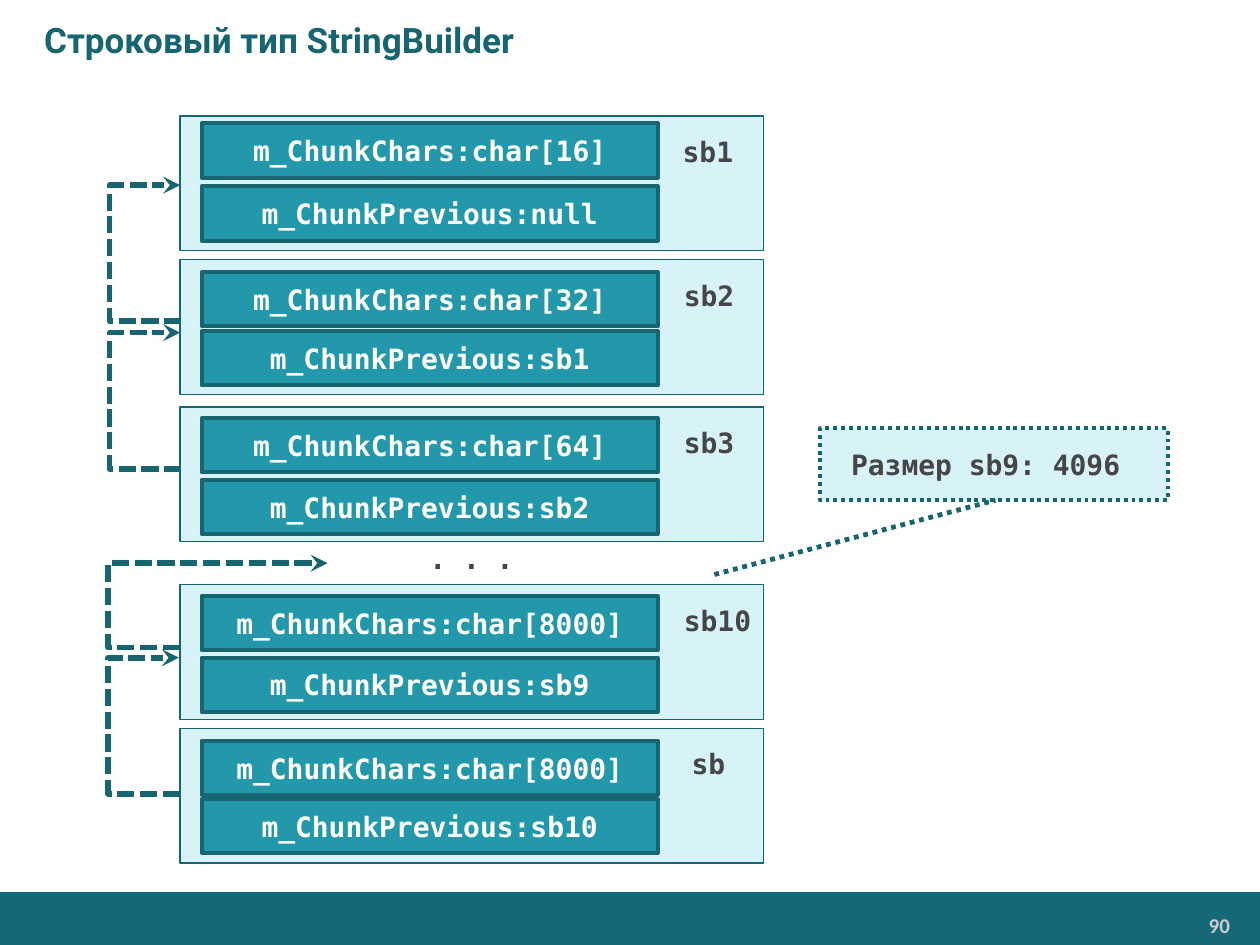
from lxml import etree
from pptx import Presentation
from pptx import util as u
from pptx.dml.color import RGBColor
from pptx.enum import dml, shapes, text
from pptx.oxml.ns import qn

DARK, TEAL, PALE = "176571", "2298AA", "D7F3F7"
GREY, WHITE = "464547", "FFFFFF"
DASH, DOT = dml.MSO_LINE.SQUARE_DOT, dml.MSO_LINE.ROUND_DOT
LEFT, MID, RIGHT = text.PP_ALIGN.LEFT, text.PP_ALIGN.CENTER, text.PP_ALIGN.RIGHT

# name, label left, box top, top of each field, size, previous
CHUNKS = [
    ("sb1", 5.32, 0.92, 0.98, 1.48, 16, "null"),
    ("sb2", 5.33, 2.06, 2.16, 2.63, 32, "sb1"),
    ("sb3", 5.33, 3.23, 3.32, 3.81, 64, "sb2"),
    ("sb10", 5.33, 4.64, 4.73, 5.22, 8000, "sb9"),
    ("sb", 5.39, 5.78, 5.88, 6.34, 8000, "sb10"),
]
# start x, start y, bend x, end x, end y
LINKS = [
    (1.44, 2.55, 0.86, 1.43, 1.47),
    (1.44, 3.72, 0.86, 1.43, 2.64),
    (1.43, 6.30, 0.85, 1.42, 5.22),
    (1.43, 5.14, 0.86, 2.60, 4.47),
]


def color(code):
    return RGBColor.from_string(code)


class Deck:
    """Holds the style and the current slide."""
    font, size = "DejaVu Sans Mono", 16

    def __init__(self):
        self.prs = Presentation()
        self.prs.slide_width = u.Inches(10)
        self.prs.slide_height = u.Inches(7.5)
        self.slide = self.prs.slides.add_slide(self.prs.slide_layouts[5])

    def letter(self, shape, words, ink, align=LEFT, font=None, size=None):
        """Put styled text in a shape."""
        frame = shape.text_frame
        frame.text = words
        para = frame.paragraphs[0]
        para.alignment = align
        for run in para.runs:
            run.font.name = font or self.font
            run.font.size = u.Pt(size or self.size)
            run.font.bold = True
            run.font.color.rgb = color(ink)

    def title(self, words):
        shape = self.slide.shapes.title
        shape.left, shape.top = u.Inches(0), u.Inches(0)
        shape.width, shape.height = u.Inches(10), u.Inches(0.63)
        self.letter(shape, words, DARK, font="Roboto", size=20)
        shape.text_frame.margin_left = u.Inches(0.35)
        shape.text_frame.vertical_anchor = text.MSO_ANCHOR.MIDDLE

    def box(self, x, y, w, h, fill, line=None, words="", ink=WHITE, dash=None):
        shape = self.slide.shapes.add_shape(
            shapes.MSO_SHAPE.RECTANGLE, *map(u.Inches, (x, y, w, h)))
        shape.shadow.inherit = False
        shape.fill.solid()
        shape.fill.fore_color.rgb = color(fill)
        if line:
            self.stroke(shape.line, line, dash)
        else:
            shape.line.fill.background()
        if words:
            self.letter(shape, words, ink, MID)
            shape.text_frame.vertical_anchor = text.MSO_ANCHOR.MIDDLE

    def label(self, x, y, w, h, words, ink=GREY, **style):
        shape = self.slide.shapes.add_textbox(*map(u.Inches, (x, y, w, h)))
        shape.text_frame.word_wrap = True
        self.letter(shape, words, ink, **style)

    def stroke(self, line, width, dash=None):
        line.color.rgb = color(DARK)
        line.width = u.Pt(width)
        if dash:
            line.dash_style = dash

    def line(self, kind, start, end, width, dash):
        wire = self.slide.shapes.add_connector(
            kind, *map(u.Inches, start + end))
        self.stroke(wire.line, width, dash)
        etree.SubElement(wire._element.spPr, qn("a:effectLst"))
        return wire

    def link(self, x, y, bend, to_x, to_y):
        """Draw a bent arrow whose upright part stands at bend."""
        wire = self.line(shapes.MSO_CONNECTOR.ELBOW, (x, y), (to_x, to_y),
                         3.25, DASH)
        props = wire._element.spPr
        geom = props.find(qn("a:prstGeom"))
        guides = geom.find(qn("a:avLst"))
        if guides is None:
            guides = etree.SubElement(geom, qn("a:avLst"))
        ratio = round((bend - x) / (to_x - x) * 100000)
        etree.SubElement(guides, qn("a:gd"), name="adj1", fmla=f"val {ratio}")
        etree.SubElement(props.find(qn("a:ln")), qn("a:tailEnd"),
                         type="stealth", w="med", len="med")


def main():
    deck = Deck()
    deck.box(0, 7.08, 10, 0.42, "146878")
    deck.label(8.23, 7.19, 1.63, 0.28, "90", "CCCCCC",
               align=RIGHT, font="Calibri", size=12)
    deck.title("Строковый тип StringBuilder")

    for name, left, top, chars, prev, size, last in CHUNKS:
        deck.box(1.43, top, 4.63, 1.07, PALE, 0.75)
        deck.box(1.6, chars, 3.62, 0.43, TEAL, 2.25,
                 f"m_ChunkChars:char[{size}]")
        deck.box(1.6, prev, 3.62, 0.43, TEAL, 2.25,
                 f"m_ChunkPrevious:{last}")
        deck.label(left, top + 0.1, 0.87, 0.37, name)
    deck.label(3.31, 4.25, 1.18, 0.37, ". . .")

    for link in LINKS:
        deck.link(*link)

    deck.box(6.51, 3.4, 2.76, 0.57, PALE, 2.25, "Размер sb9: 4096 ", GREY, DOT)
    deck.line(shapes.MSO_CONNECTOR.STRAIGHT, (5.67, 4.56), (7.9, 3.97),
              2.75, DOT)
    deck.prs.save("out.pptx")


if __name__ == "__main__":
    main()
